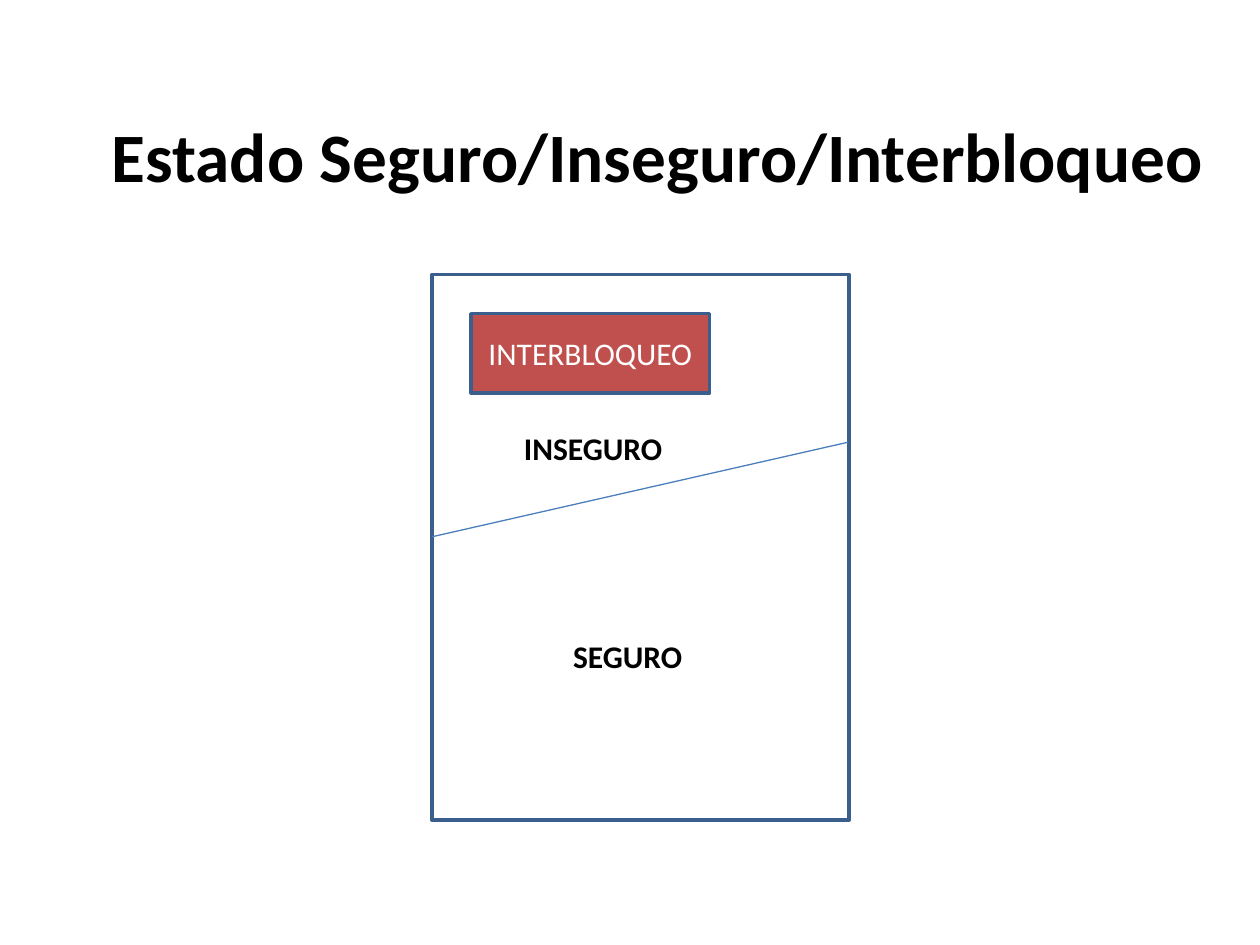
from dataclasses import dataclass

from lxml.etree import SubElement
from pptx import Presentation
from pptx.dml.color import RGBColor
from pptx.enum.shapes import MSO_CONNECTOR as Connector, MSO_SHAPE as Shape
from pptx.enum.text import MSO_ANCHOR as Anchor, MSO_AUTO_SIZE as AutoSize, PP_ALIGN as Align
from pptx.oxml.ns import qn
from pptx.util import Inches, Pt

TITLE = ("Estado Seguro/Inseguro/Interbloqueo", (0.72, 0.6, 9, 1.25))
STATE_SPACE = (3.43, 2.18, 3.31, 4.33)
DEADLOCK = ("INTERBLOQUEO", (3.74, 2.49, 1.89, 0.63))
BOUNDARY = (6.73, 3.51, 3.43, 4.26)
REGIONS = [
    ("INSEGURO", (4.06, 3.36, 1.31, 0.4)),
    ("SEGURO", (4.45, 5.01, 1.08, 0.4)),
]


@dataclass(frozen=True)
class Theme:
    font: str = "Calibri"
    text: str = "000000"
    light_text: str = "FFFFFF"
    deadlock: str = "C0504D"
    outline: str = "3A5F8C"
    boundary: str = "4B7EBC"
    title_size: float = 39.6
    label_size: float = 18
    outline_width: float = 2
    boundary_width: float = 0.75


THEME = Theme()


def inches(values):
    return [Inches(value) for value in values]


def write(shape, text, size, color, bold, align):
    para = shape.text_frame.paragraphs[0]
    para.text = text
    para.alignment = align
    for span in para.runs:
        span.font.name = THEME.font
        span.font.size = Pt(size)
        span.font.bold = bold
        span.font.color.rgb = RGBColor.from_string(color)


def style_line(line, color, width):
    line.color.rgb = RGBColor.from_string(color)
    line.width = Pt(width)


def add_title(page, text, place):
    box = page.shapes.add_textbox(*inches(place))
    box.text_frame.word_wrap = True
    box.text_frame.vertical_anchor = Anchor.MIDDLE
    write(box, text, THEME.title_size, THEME.text, True, Align.CENTER)


def add_rectangle(page, place, fill=None):
    rectangle = page.shapes.add_shape(Shape.RECTANGLE, *inches(place))
    rectangle.shadow.inherit = False
    if fill:
        rectangle.fill.solid()
        rectangle.fill.fore_color.rgb = RGBColor.from_string(fill)
    else:
        rectangle.fill.background()
    style_line(rectangle.line, THEME.outline, THEME.outline_width)
    return rectangle


def add_boundary(page, ends):
    boundary = page.shapes.add_connector(Connector.STRAIGHT, *inches(ends))
    style_line(boundary.line, THEME.boundary, THEME.boundary_width)
    SubElement(boundary._element.spPr, qn("a:effectLst"))


def add_region_label(page, text, place):
    box = page.shapes.add_textbox(*inches(place))
    box.text_frame.word_wrap = False
    box.text_frame.auto_size = AutoSize.SHAPE_TO_FIT_TEXT
    write(box, text, THEME.label_size, THEME.text, True, Align.LEFT)


def main():
    """Build the slide of safe, unsafe and deadlocked states."""
    deck = Presentation()
    deck.slide_width, deck.slide_height = Inches(10), Inches(7.5)
    page = deck.slides.add_slide(deck.slide_layouts[6])
    add_title(page, *TITLE)
    add_rectangle(page, STATE_SPACE)
    add_boundary(page, BOUNDARY)
    text, place = DEADLOCK
    deadlock = add_rectangle(page, place, THEME.deadlock)
    deadlock.text_frame.vertical_anchor = Anchor.MIDDLE
    write(deadlock, text, THEME.label_size, THEME.light_text, False, Align.CENTER)
    for region in REGIONS:
        add_region_label(page, *region)
    deck.save("out.pptx")


if __name__ == "__main__":
    main()
